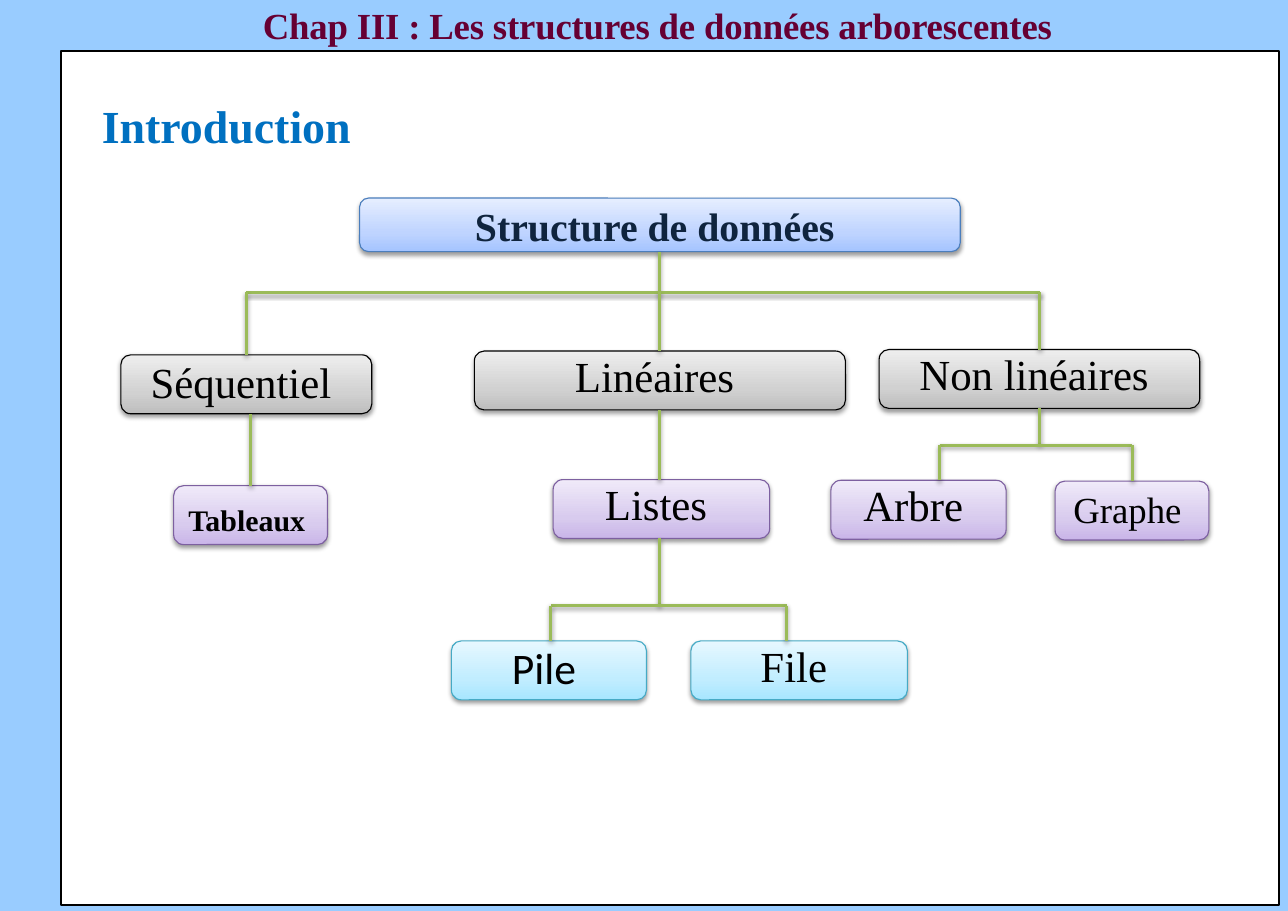
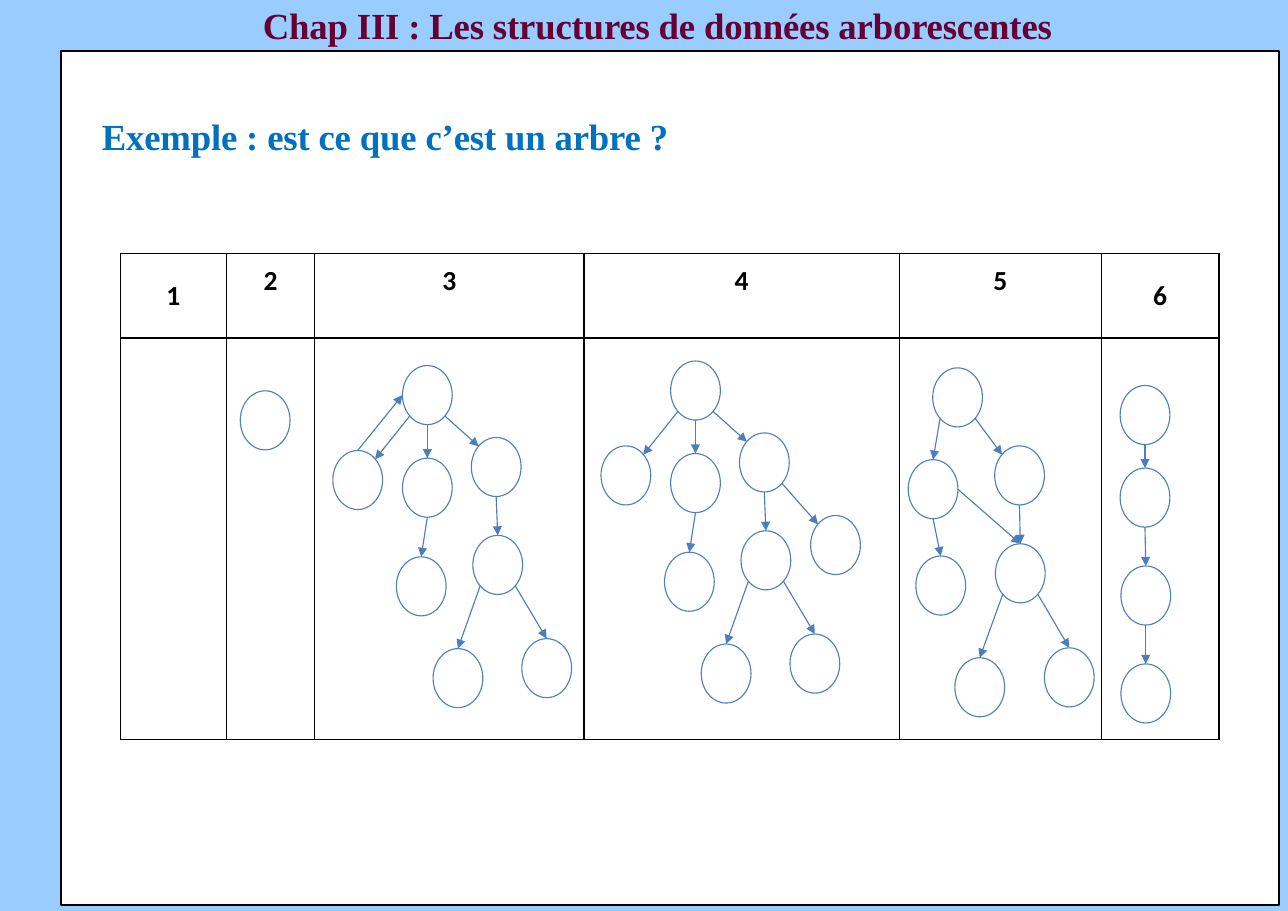
from collections import namedtuple

import pptx
import pptx.dml.color
import pptx.enum.shapes
import pptx.enum.text
import pptx.oxml
import pptx.oxml.ns
import pptx.util
from lxml import etree

Pt = pptx.util.Pt
qn = pptx.oxml.ns.qn
SHAPE = pptx.enum.shapes.MSO_SHAPE
ANCHOR = pptx.enum.text.MSO_ANCHOR
ALIGN = pptx.enum.text.PP_ALIGN

COLORS = {
    "band": "99CCFF", "panel": "FFFFFF", "black": "000000", "chapter": "660033",
    "heading": "0070C0", "root_text": "0F243E", "link": "9BBB59",
    "node": "4F81BD", "arrow": "4B7EBC",
}
SERIF, SANS = "Times New Roman", "Calibri"

CHAPTER = "Chap III : Les structures de données arborescentes"

# Slide 1: gradient from bottom to top, then outline
BOX_STYLES = {
    "root": (("A4C4FF", "BFD4FF", "E6EEFF"), "4B7EBC"),
    "family": (("BDBDBD", "D1D1D1", "EEEEEE"), "000000"),
    "structure": (("C9B5E8", "D8CBEE", "F0EAF9"), "7D60A0"),
    "variant": (("A7E6FF", "C1EDFF", "E7F8FF"), "46AAC5"),
}
BOX_HEIGHT = 38.5
# axis is the x at which the links meet the box
Box = namedtuple("Box", "text left top width axis style size spacing font bold color height",
                 defaults=(28, 0.9, SERIF, False, "black", BOX_HEIGHT))
BOXES = {
    "root": Box("Structure de données ", 235, 129.5, 392.5, 431, "root", 26, 1,
                bold=True, color="root_text", height=35),
    "sequential": Box("Séquentiel ", 79, 232, 164, 161, "family", spacing=0.7),
    "linear": Box("Linéaires ", 310, 229.5, 242.5, 431, "family"),
    "nonlinear": Box("Non linéaires ", 574.5, 228.5, 209.5, 679.5, "family"),
    "arrays": Box("Tableaux ", 113.5, 317.5, 100.5, 164, "structure", 19.5, 0.7, bold=True),
    "lists": Box("Listes ", 361.5, 313.5, 141.5, 431, "structure"),
    "tree": Box("Arbre ", 543, 314, 114.5, 614, "structure"),
    "graph": Box("Graphe ", 689.5, 314.5, 100.5, 740, "structure", 24),
    "stack": Box("Pile ", 295, 419, 127.5, 360, "variant", 28.5, 0.7, SANS),
    "queue": Box("File ", 451.5, 419, 141.5, 514, "variant"),
}
# parent, children, height of the crossbar (None for a single child)
BRANCHES = [
    ("root", ["sequential", "linear", "nonlinear"], 191),
    ("sequential", ["arrays"], None),
    ("linear", ["lists"], None),
    ("nonlinear", ["tree", "graph"], 291),
    ("lists", ["stack", "queue"], 396),
]

# Slide 2
TABLE_LEFT, TABLE_TOP = 78.75, 165.5
COLUMNS = [69.25, 57.75, 176, 206, 132, 77]
ROWS = [55.5, 262.5]
CENTRED_HEADERS = {"1", "6"}

NODE_W, NODE_H = 32.5, 38.6
# connection sites of an ellipse: index, fraction of width, fraction of height
SITES = {
    "top": (0, 0.5, 0), "top_left": (1, 0.15, 0.15), "left": (2, 0, 0.5),
    "bottom_left": (3, 0.15, 0.85), "bottom": (4, 0.5, 1),
    "bottom_right": (5, 0.85, 0.85), "right": (6, 1, 0.5), "top_right": (7, 0.85, 0.15),
}
RIGHT_BRANCH = [
    ("root", "bottom_right", "right", "top_left"),
    ("right", "bottom", "inner", "top"),
    ("inner", "bottom_left", "low_left", "top"),
    ("inner", "bottom_right", "low_right", "top"),
]
THREE_CHILDREN = RIGHT_BRANCH + [
    ("root", "bottom_left", "left", "top_right"),
    ("root", "bottom", "middle", "top"),
    ("middle", "bottom", "leaf", "top"),
]
# node offsets from the root
TERNARY = {
    "root": (0, 0), "left": (-45.5, 55.5), "middle": (0, 60.5), "right": (45, 47),
    "leaf": (-4, 125), "inner": (46, 111), "low_left": (20, 185), "low_right": (78, 178.5),
}
SHARED_CHILD = {
    "root": (0, 0), "left": (-16, 60), "right": (40.5, 51), "leaf": (-11, 123),
    "inner": (41, 115), "low_left": (14.5, 189.5), "low_right": (73, 183),
}
CHAIN = {"a": (0, 0), "b": (0, 54), "c": (0.5, 118), "d": (0.5, 182)}
# position of the root, nodes, edges
GRAPHS = [
    ((157, 255.5), {"root": (0, 0)}, []),
    ((263, 239), TERNARY, THREE_CHILDREN + [("left", "top", "root", "left")]),
    ((438.25, 236), {**TERNARY, "extra": (91.5, 101)},
     THREE_CHILDREN + [("right", "bottom_right", "extra", "top_left")]),
    ((609.5, 240.5), SHARED_CHILD, RIGHT_BRANCH + [
        ("root", "bottom_left", "left", "top"),
        ("left", "bottom", "leaf", "top"),
        ("left", "right", "inner", "top"),
    ]),
    ((732, 252), CHAIN, [(a, "bottom", b, "top") for a, b in zip("abc", "bcd")]),
]


def rgb(name):
    return pptx.dml.color.RGBColor.from_string(COLORS.get(name, name))


def child(parent, tag, **attributes):
    """Append an XML element to parent."""
    return etree.SubElement(parent, qn(tag), {k: str(v) for k, v in attributes.items()})


def outline(shape, color, width, shadow=False):
    """Set the line, and either the soft drop shadow or none."""
    shape.line.color.rgb = rgb(color)
    shape.line.width = Pt(width)
    effects = child(shape._element.spPr, "a:effectLst")
    if shadow:
        drop = child(effects, "a:outerShdw", blurRad=Pt(3.1), dist=Pt(1.6),
                     dir=5400000, rotWithShape=0)
        child(child(drop, "a:srgbClr", val=COLORS["black"]), "a:alpha", val=38000)


def style_paragraph(paragraph, text, font, size, color, bold=False, align=ALIGN.LEFT):
    paragraph.text = text
    paragraph.alignment = align
    paragraph.font.name = font
    paragraph.font.size = Pt(size)
    paragraph.font.bold = bold
    paragraph.font.color.rgb = rgb(color)


def add_label(slide, text, left, top, width, size, color, tracking=0):
    box = slide.shapes.add_textbox(Pt(left), Pt(top), Pt(width), Pt(size * 1.2))
    frame = box.text_frame
    frame.word_wrap = True
    frame.margin_left = frame.margin_top = frame.margin_right = frame.margin_bottom = 0
    style_paragraph(frame.paragraphs[0], text, SERIF, size, color, True)
    if tracking:
        frame.paragraphs[0].runs[0]._r.get_or_add_rPr().set("spc", str(tracking))


def add_line(slide, start, end, color, width, shadow=False):
    line = slide.shapes.add_connector(
        pptx.enum.shapes.MSO_CONNECTOR.STRAIGHT, *(Pt(v) for v in (*start, *end)))
    outline(line, color, width, shadow)
    return line


def new_slide(prs, heading, top, size, tracking=0):
    slide = prs.slides.add_slide(prs.slide_layouts[6])
    panel = slide.shapes.add_shape(SHAPE.RECTANGLE, Pt(40), Pt(33.25), Pt(796), Pt(558.5))
    panel.fill.solid()
    panel.fill.fore_color.rgb = rgb("panel")
    outline(panel, "black", 1.5)
    add_label(slide, CHAPTER, 171.75, 1.75, 553, 24, "chapter", -10)
    add_label(slide, heading, 66.5, top, 616, size, "heading", tracking)
    return slide


def add_box(slide, box):
    stops, edge = BOX_STYLES[box.style]
    shape = slide.shapes.add_shape(SHAPE.ROUNDED_RECTANGLE, Pt(box.left), Pt(box.top),
                                   Pt(box.width), Pt(box.height))
    gradient = pptx.oxml.parse_xml(
        f'<a:gradFill {pptx.oxml.ns.nsdecls("a")} rotWithShape="1"/>')
    stop_list = child(gradient, "a:gsLst")
    for position, color in zip((0, 35000, 100000), stops):
        child(child(stop_list, "a:gs", pos=position), "a:srgbClr", val=color)
    child(gradient, "a:lin", ang=16200000, scaled=0)
    shape._element.spPr.find(qn("a:prstGeom")).addnext(gradient)
    outline(shape, edge, 0.75, shadow=True)

    frame = shape.text_frame
    frame.word_wrap = True
    frame.vertical_anchor = ANCHOR.BOTTOM
    if box.style == "root":
        frame.margin_top = frame.margin_bottom = 0
    paragraph = frame.paragraphs[0]
    style_paragraph(paragraph, box.text, box.font, box.size, box.color, box.bold, ALIGN.CENTER)
    paragraph.line_spacing = box.spacing


def add_branch(slide, parent, children, bar):
    """Link a box to its children, through a crossbar when there are several."""
    foot = parent.top + parent.height
    axes = [box.axis for box in children]
    if bar is None:
        segments = [((axes[0], foot), (axes[0], children[0].top))]
    else:
        segments = [((parent.axis, foot), (parent.axis, bar)),
                    ((min(axes), bar), (max(axes), bar))]
        segments += [((box.axis, bar), (box.axis, box.top)) for box in children]
    for start, end in segments:
        add_line(slide, start, end, "link", 2, shadow=True)


def add_example_table(slide):
    table = slide.shapes.add_table(len(ROWS), len(COLUMNS), Pt(TABLE_LEFT), Pt(TABLE_TOP),
                                   Pt(sum(COLUMNS)), Pt(sum(ROWS))).table
    table.first_row = table.horz_banding = False
    for column, width in zip(table.columns, COLUMNS):
        column.width = Pt(width)
    for row, height in zip(table.rows, ROWS):
        row.height = Pt(height)
    for cell in table.iter_cells():
        properties = cell._tc.get_or_add_tcPr()
        for side in ("a:lnL", "a:lnR", "a:lnT", "a:lnB"):
            border = child(properties, side, w=Pt(1))
            child(child(border, "a:solidFill"), "a:srgbClr", val=COLORS["black"])
        cell.fill.background()
    for number, cell in enumerate(table.rows[0].cells, 1):
        text = str(number)
        style_paragraph(cell.text_frame.paragraphs[0], text, SANS, 18, "black", True,
                        ALIGN.CENTER)
        if text in CENTRED_HEADERS:
            cell.vertical_anchor = ANCHOR.MIDDLE
        else:
            cell.vertical_anchor = ANCHOR.TOP
            cell.margin_top = Pt(7.5)


def add_graph(slide, origin, offsets, edges):
    corners = {name: (origin[0] + dx, origin[1] + dy) for name, (dx, dy) in offsets.items()}
    nodes = {}
    for name, (left, top) in corners.items():
        node = slide.shapes.add_shape(SHAPE.OVAL, Pt(left), Pt(top), Pt(NODE_W), Pt(NODE_H))
        node.fill.background()
        outline(node, "node", 0.75)
        nodes[name] = node

    def site_point(name, site):
        _, across, down = SITES[site]
        left, top = corners[name]
        return left + across * NODE_W, top + down * NODE_H

    for source, leave, target, enter in edges:
        arrow = add_line(slide, site_point(source, leave), site_point(target, enter),
                         "arrow", 0.75)
        child(arrow._element.spPr.get_or_add_ln(), "a:tailEnd", type="triangle")
        glue = arrow._element.nvCxnSpPr.cNvCxnSpPr
        child(glue, "a:stCxn", id=nodes[source].shape_id, idx=SITES[leave][0])
        child(glue, "a:endCxn", id=nodes[target].shape_id, idx=SITES[enter][0])


def main():
    prs = pptx.Presentation()
    prs.slide_width, prs.slide_height = Pt(841.7), Pt(595.5)
    background = prs.slide_master.background.fill
    background.solid()
    background.fore_color.rgb = rgb("band")

    overview = new_slide(prs, "Introduction", 64, 30)
    for box in BOXES.values():
        add_box(overview, box)
    for parent, children, bar in BRANCHES:
        add_branch(overview, BOXES[parent], [BOXES[name] for name in children], bar)

    examples = new_slide(prs, "Exemple : est ce que c’est un arbre ?", 74.5, 24, -10)
    add_example_table(examples)
    for origin, offsets, edges in GRAPHS:
        add_graph(examples, origin, offsets, edges)

    prs.save("out.pptx")


if __name__ == "__main__":
    main()
